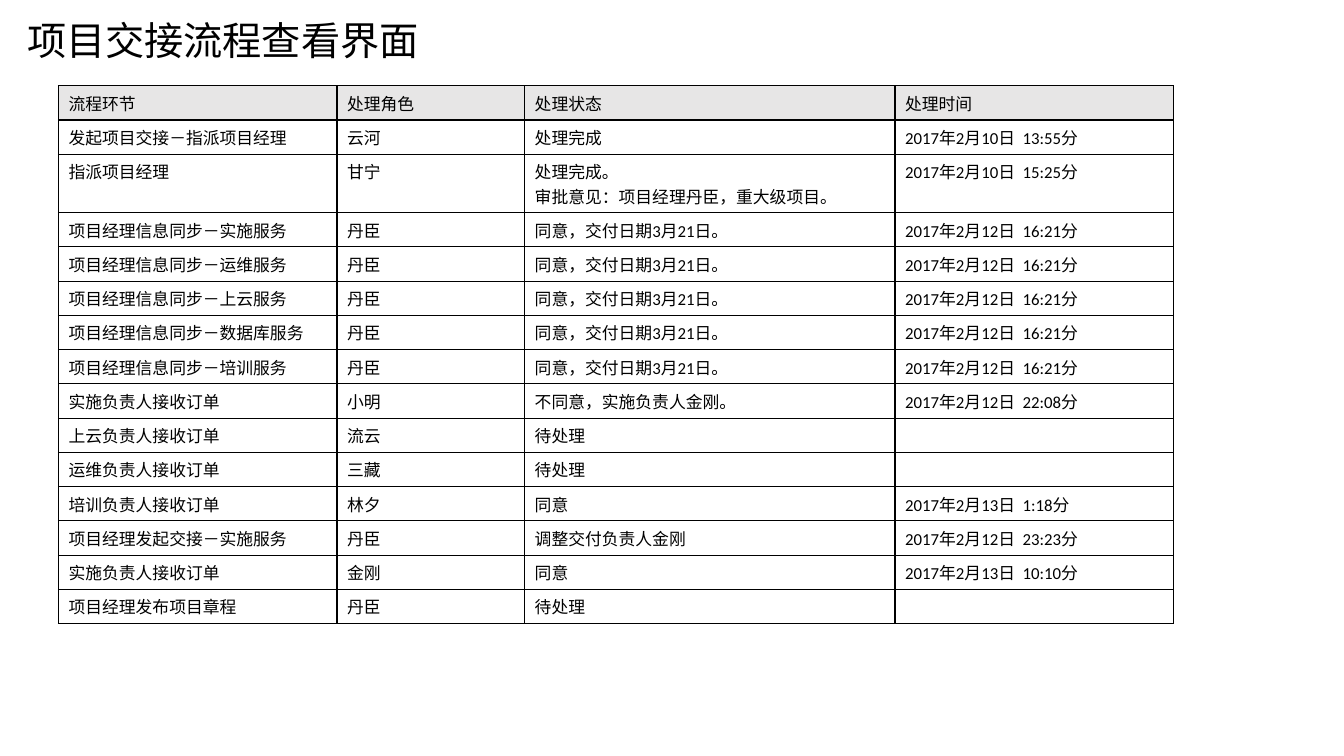
import pptx
import pptx.util
import pptx.dml.color
import pptx.enum.text
import pptx.oxml
import pptx.oxml.ns
from dataclasses import dataclass
from lxml import etree

Inches = pptx.util.Inches
Pt = pptx.util.Pt


@dataclass(frozen=True)
class Theme:
    font: str = "Calibri"
    ink: str = "000000"
    header: str = "E7E6E6"
    title_size: int = 28
    body_size: int = 12
    border: float = 1


THEME = Theme()
COL_WIDTHS = [2.76, 1.86, 3.67, 2.76]
LINE_HEIGHT = 0.24
CELL_PADDING = 0.1

HEADER = ("流程环节", "处理角色", "处理状态", "处理时间")
SYNC_ROWS = [
    (f"项目经理信息同步-{service}服务".replace("-", "-"), "丹臣",
     "同意,交付日期3月21日。".replace(",", ","), "2017年2月12日  16:21分")
    for service in ("实施", "运维", "上云", "数据库", "培训")
]
ROWS = [
    HEADER,
    ("发起项目交接\uff0d指派项目经理", "云河", "处理完成", "2017年2月10日  13:55分"),
    ("指派项目经理", "甘宁", "处理完成。\n审批意见\uff1a项目经理丹臣\uff0c重大级项目。",
     "2017年2月10日  15:25分"),
    *[(step.replace("-", "\uff0d"), role, status.replace(",", "\uff0c"), time)
      for step, role, status, time in SYNC_ROWS],
    ("实施负责人接收订单", "小明", "不同意\uff0c实施负责人金刚。", "2017年2月12日  22:08分"),
    ("上云负责人接收订单", "流云", "待处理", ""),
    ("运维负责人接收订单", "三藏", "待处理", ""),
    ("培训负责人接收订单", "林夕", "同意", "2017年2月13日  1:18分"),
    ("项目经理发起交接\uff0d实施服务", "丹臣", "调整交付负责人金刚", "2017年2月12日  23:23分"),
    ("实施负责人接收订单", "金刚", "同意", "2017年2月13日  10:10分"),
    ("项目经理发布项目章程", "丹臣", "待处理", ""),
]


def color(value):
    return pptx.dml.color.RGBColor.from_string(value)


def write(p, text, size):
    p.text = text
    for r in p.runs:
        r.font.name = THEME.font
        r.font.size = Pt(size)
        r.font.color.rgb = color(THEME.ink)
    if not text:
        end = etree.SubElement(p._p, pptx.oxml.ns.qn("a:endParaRPr"))
        end.set("sz", str(size * 100))


def set_borders(cell):
    tcPr = cell._tc.get_or_add_tcPr()
    ns = pptx.oxml.ns.nsdecls("a")
    for index, side in enumerate(("lnL", "lnR", "lnT", "lnB")):
        tcPr.insert(index, pptx.oxml.parse_xml(
            f'<a:{side} {ns} w="{Pt(THEME.border)}"><a:solidFill>'
            f'<a:srgbClr val="{THEME.ink}"/></a:solidFill></a:{side}>'))


def add_title(s, left, top, width, height):
    sp = s.shapes.add_textbox(Inches(left), Inches(top), Inches(width), Inches(height))
    tf = sp.text_frame
    tf.word_wrap = True
    tf.vertical_anchor = pptx.enum.text.MSO_ANCHOR.MIDDLE
    write(tf.paragraphs[0], "项目交接流程查看界面", THEME.title_size)


def add_process_table(s, left, top, width):
    heights = [CELL_PADDING + LINE_HEIGHT * max(text.count("\n") + 1 for text in row)
               for row in ROWS]
    frame = s.shapes.add_table(len(ROWS), len(HEADER), Inches(left), Inches(top),
                               Inches(width), Inches(sum(heights)))
    table = frame.table
    for column, share in zip(table.columns, COL_WIDTHS):
        column.width = Inches(width * share / sum(COL_WIDTHS))
    for i, (row, height) in enumerate(zip(ROWS, heights)):
        table.rows[i].height = Inches(height)
        for j, text in enumerate(row):
            cell = table.cell(i, j)
            write(cell.text_frame.paragraphs[0], text, THEME.body_size)
            if i == 0:
                cell.fill.solid()
                cell.fill.fore_color.rgb = color(THEME.header)
            else:
                cell.fill.background()
            set_borders(cell)


prs = pptx.Presentation()
prs.slide_width = Inches(13.33)
prs.slide_height = Inches(7.5)
s = prs.slides.add_slide(prs.slide_layouts[6])
add_title(s, 0.17, 0, 4.24, 0.78)
add_process_table(s, 0.58, 0.85, 11.06)
prs.save("out.pptx")
